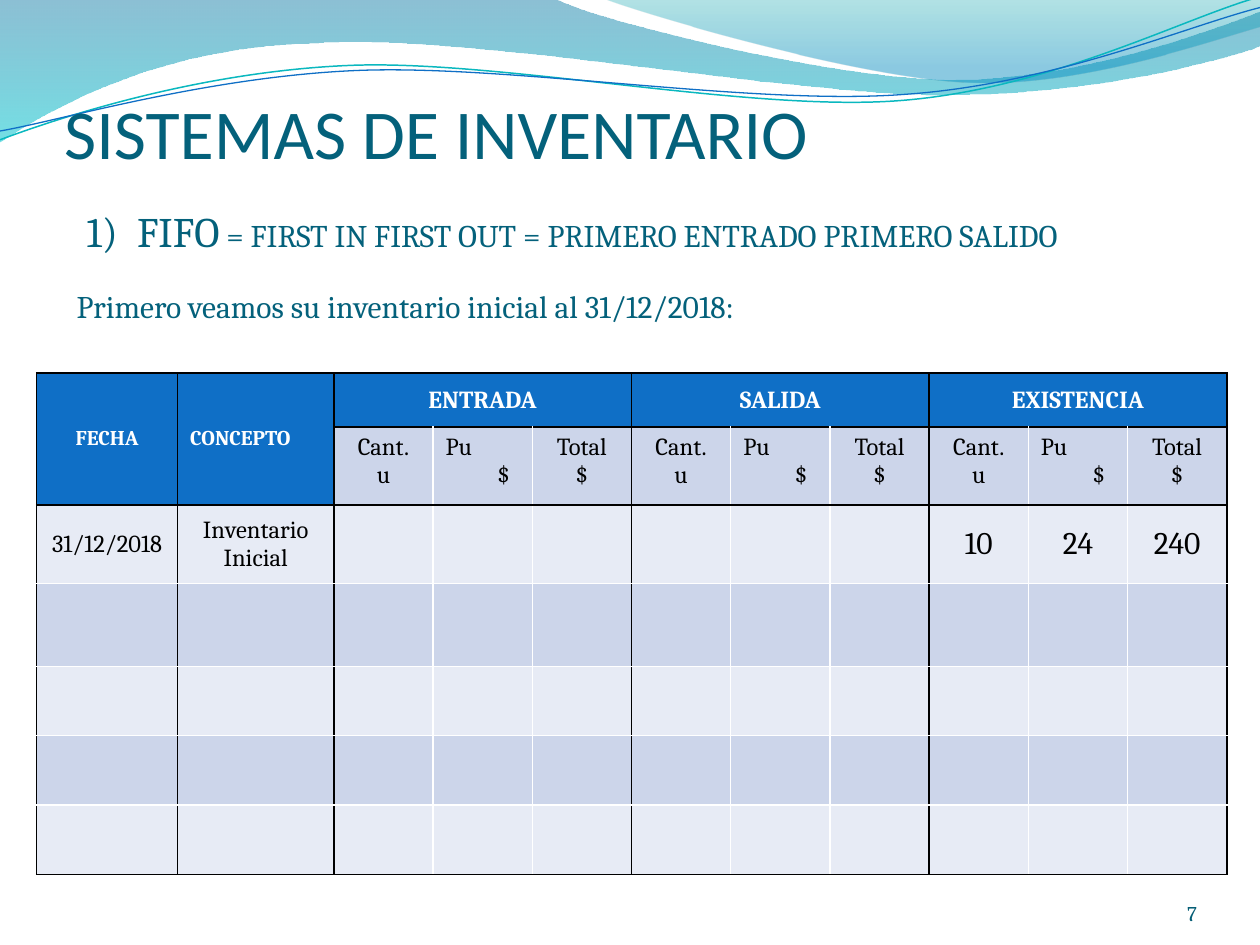
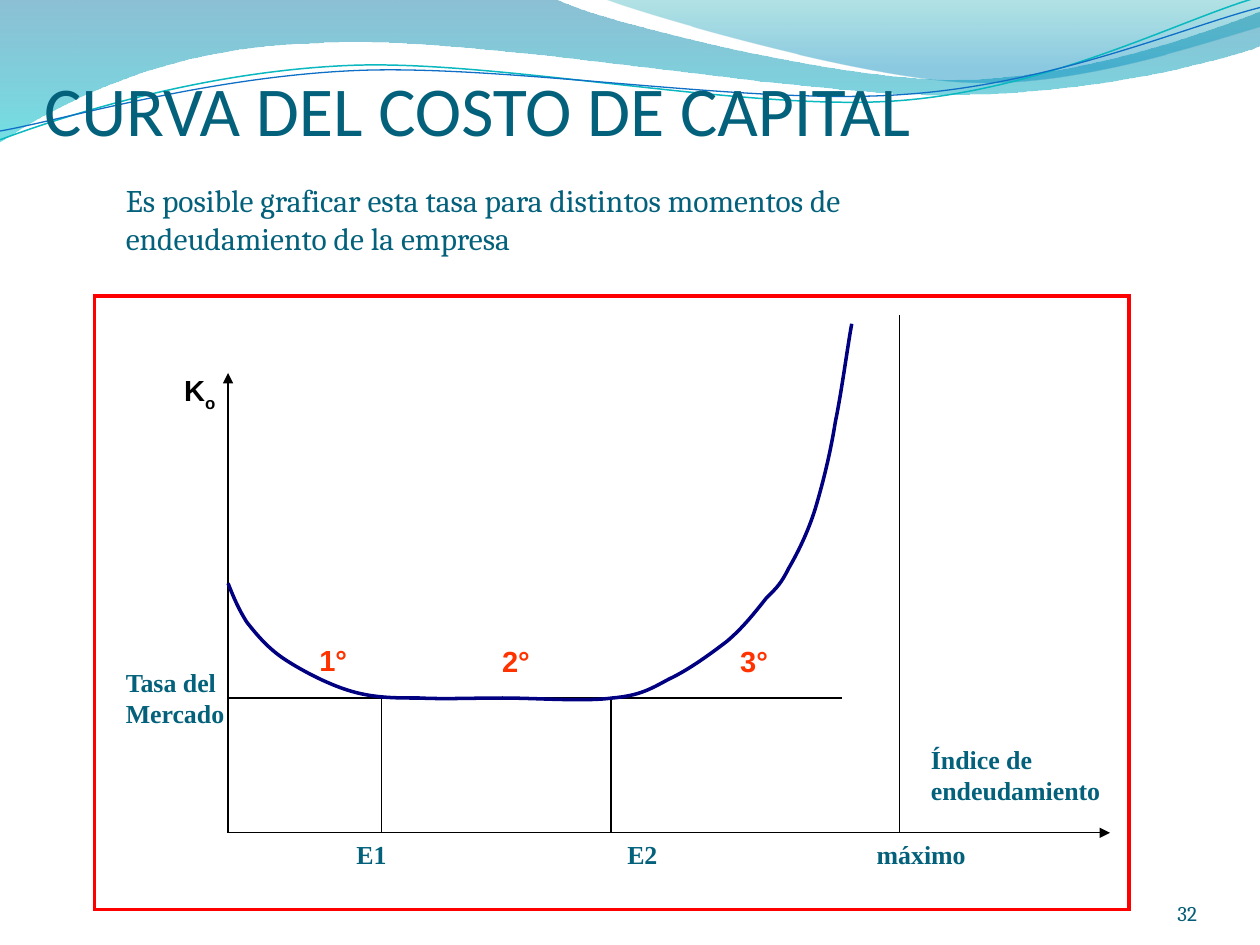
from lxml.etree import SubElement
from pptx import Presentation
from pptx.dml.color import RGBColor
from pptx.enum.shapes import MSO_CONNECTOR, MSO_SHAPE
from pptx.enum.text import MSO_ANCHOR as Anchor, MSO_AUTO_SIZE, PP_ALIGN as Align
from pptx.oxml import parse_xml
from pptx.oxml.ns import nsdecls, qn
from pptx.util import Inches, Pt

TITLE_FONT, BODY_FONT, AXIS_FONT, MARK_FONT = "Calibri", "Cambria", "Times New Roman", "Arial"
DARK_TEAL, NUMBER_TEAL, BLUE = "04617B", "045D75", "0F6FC6"
BLACK, WHITE, RED, NAVY, ORANGE = "000000", "FFFFFF", "FF0000", "000080", "FF3300"
BANDS = ("E7EBF5", "CCD5EA")
DEFAULT_INSETS = (0.1, 0.05, 0.1, 0.05)

# Each outline is a start point and its edges: 2 numbers for a line, 6 for a cubic curve.
WAVE_FILLS = [
    ((0, 0), [(4.4, -0.01), (4.76, 0.17, 6.64, 0.63, 7.58, 0.63),
              (8.53, 0.63, 9.58, 0.26, 10, 0.09), (10.01, 0.36),
              (9.83, 0.44, 8.7, 0.76, 7.46, 0.75), (6.22, 0.75, 3.82, 0.28, 2.57, 0.34),
              (1.29, 0.36, 0.46, 0.83, -0.01, 1.13), (0, 0)],
     [(0, "0074A1", 45), (1, "00C6CF", 55)]),
    ((4.79, -0.01), [(5.09, 0.11, 6.82, 0.62, 7.69, 0.65),
                     (8.56, 0.69, 9.61, 0.32, 10, 0.21), (10, 0), (4.79, -0.01)],
     [(0, "00A1A9", 30), (0.8, "008BBF", 45)]),
]
WAVE_LINES = [
    ((0, 1.11), [(0.48, 0.93, 1.58, 0.57, 2.77, 0.52), (3.95, 0.47, 5.93, 0.89, 7.13, 0.8),
                 (8.33, 0.71, 9.38, 0.15, 9.98, -0.02)], "0AB8BF", 0.85),
    ((0, 1.04), [(0.47, 0.96, 1.64, 0.61, 2.83, 0.56), (4.03, 0.51, 5.97, 0.84, 7.17, 0.75),
                 (8.36, 0.67, 9.41, 0.21, 10, 0.06)], BLUE, 0.75),
]
COST_CURVE = ((1.06, 2.28), [
    (1.1, 2.38, 1.14, 2.48, 1.21, 2.59), (1.29, 2.69, 1.38, 2.8, 1.52, 2.89),
    (1.66, 2.98, 1.87, 3.09, 2.05, 3.14), (2.23, 3.19, 2.39, 3.19, 2.58, 3.19),
    (2.78, 3.2, 2.99, 3.19, 3.24, 3.19), (3.5, 3.19, 3.89, 3.22, 4.11, 3.19),
    (4.33, 3.17, 4.41, 3.12, 4.56, 3.04), (4.71, 2.97, 4.89, 2.84, 5.02, 2.74),
    (5.15, 2.63, 5.25, 2.5, 5.33, 2.4), (5.42, 2.31, 5.45, 2.28, 5.51, 2.16),
    (5.58, 2.04, 5.66, 1.88, 5.72, 1.69), (5.78, 1.49, 5.84, 1.25, 5.88, 1),
    (5.93, 0.76, 5.98, 0.38, 6.01, 0.22)])


def rgb(color):
    return RGBColor.from_string(color)


def style_paragraph(paragraph, font, size, color, bold=False, align=Align.LEFT):
    paragraph.alignment = align
    paragraph.font.name = font
    paragraph.font.size = Pt(size)
    paragraph.font.bold = bold
    paragraph.font.color.rgb = rgb(color)


def write_lines(text_frame, lines, *style, **options):
    text_frame.text = "\n".join(lines)
    for paragraph in text_frame.paragraphs:
        style_paragraph(paragraph, *style, **options)


def set_up_frame(text_frame, insets=DEFAULT_INSETS, anchor=Anchor.TOP):
    text_frame.word_wrap = True
    text_frame.auto_size = MSO_AUTO_SIZE.NONE
    text_frame.vertical_anchor = anchor
    (text_frame.margin_left, text_frame.margin_top,
     text_frame.margin_right, text_frame.margin_bottom) = map(Inches, insets)


def add_text(slide, box, lines, *style, insets=DEFAULT_INSETS, anchor=Anchor.TOP, **options):
    text_frame = slide.shapes.add_textbox(*map(Inches, box)).text_frame
    set_up_frame(text_frame, insets, anchor)
    write_lines(text_frame, lines, *style, **options)
    return text_frame


def add_outline(slide, start, edges, left=0, top=0, close=False):
    """Add a freeform through the edges' end points, then bend the curved edges."""
    points = [start] + [edge[-2:] for edge in edges]
    builder = slide.shapes.build_freeform(*map(Inches, start))
    builder.add_line_segments([tuple(map(Inches, point)) for point in points[1:]], close=close)
    shape = builder.convert_to_shape(Inches(left), Inches(top))
    shape.shadow.inherit = False
    min_x, min_y = map(min, zip(*points))
    for segment, edge in zip(list(shape.element.iter(qn("a:lnTo"))), edges):
        if len(edge) == 6:
            segment.tag = qn("a:cubicBezTo")
            for index in (0, 2):
                control = parse_xml(f'<a:pt {nsdecls("a")}/>')
                control.set("x", str(Inches(edge[index] - min_x)))
                control.set("y", str(Inches(edge[index + 1] - min_y)))
                segment.insert(index // 2, control)
    return shape


def add_curve(slide, start, edges, color, width, left=0, top=0):
    shape = add_outline(slide, start, edges, left, top)
    shape.fill.background()
    shape.line.color.rgb = rgb(color)
    shape.line.width = Pt(width)
    return shape


def add_wave_fill(slide, start, edges, stops):
    shape = add_outline(slide, start, edges, close=True)
    shape.line.fill.background()
    shape.fill.gradient()
    shape.fill.gradient_angle = 270
    for stop, (position, color, _) in zip(shape.fill.gradient_stops, stops):
        stop.position = position
        stop.color.rgb = rgb(color)
    for element, (_, _, opacity) in zip(shape.element.iter(qn("a:srgbClr")), stops):
        SubElement(element, qn("a:alpha"), val=str(opacity * 1000))
    return shape


def add_waves_to_layout(slide):
    """Draw the waves on the slide, then move them behind everything on its layout."""
    waves = [add_wave_fill(slide, *wave) for wave in WAVE_FILLS]
    waves += [add_curve(slide, *wave) for wave in WAVE_LINES]
    first_element = slide.slide_layout.shapes[0].element
    for wave in waves:
        first_element.addprevious(wave.element)


def add_titled_slide(presentation, title, box, number, insets=DEFAULT_INSETS):
    slide = presentation.slides.add_slide(presentation.slide_layouts[5])
    shape = slide.shapes.title
    shape.left, shape.top, shape.width, shape.height = map(Inches, box)
    set_up_frame(shape.text_frame, insets)
    write_lines(shape.text_frame, [title], TITLE_FONT, 40, DARK_TEAL)
    add_text(slide, (8.67, 6.95, 0.83, 0.4), [str(number)], BODY_FONT, 12, NUMBER_TEAL,
             insets=(0, 0, 0, 0), anchor=Anchor.BOTTOM, align=Align.RIGHT)
    return slide


def add_line(slide, start, end, arrow=False):
    connector = slide.shapes.add_connector(
        MSO_CONNECTOR.STRAIGHT, *map(Inches, (*start, *end)))
    connector.line.color.rgb = rgb(BLACK)
    connector.line.width = Pt(0.75)
    if arrow:
        SubElement(connector.line._get_or_add_ln(), qn("a:tailEnd"), type="triangle")
    SubElement(connector.element.spPr, qn("a:effectLst"))


def format_cell(cell, fill, borders):
    """Fill the cell and draw its left, right, top and bottom borders."""
    cell.fill.solid()
    cell.fill.fore_color.rgb = rgb(fill)
    properties = cell._tc.get_or_add_tcPr()
    for index, (side, color) in enumerate(zip("LRTB", borders)):
        properties.insert(index, parse_xml(
            f'<a:ln{side} {nsdecls("a")} w="12700"><a:solidFill><a:srgbClr val="{color}"/>'
            f'</a:solidFill></a:ln{side}>'))


def add_inventory_table(slide, left, top, width):
    row_heights = [0.43, 0.62, 0.62, 0.66, 0.55, 0.55, 0.55]
    label_widths = [1.12, 1.24]
    widths = label_widths + [(width - sum(label_widths)) / 9] * 9
    black_columns, black_rows = {0, 1, 2, 5, 8, 11}, {0, 1, 2, 7}
    table = slide.shapes.add_table(len(row_heights), len(widths), *map(
        Inches, (left, top, width, sum(row_heights)))).table
    table.first_row = table.horz_banding = False
    for column, column_width in zip(table.columns, widths):
        column.width = Inches(column_width)
    for r, height in enumerate(row_heights):
        table.rows[r].height = Inches(height)
        for c in range(len(widths)):
            header = r == 0 or (r == 1 and c < 2)
            sides = [BLACK if header or edge in black_columns else WHITE for edge in (c, c + 1)]
            sides += [BLACK if header or edge in black_rows else WHITE for edge in (r, r + 1)]
            format_cell(table.cell(r, c), BLUE if header else BANDS[r % 2], sides)

    def write(row, column, lines, size, color=BLACK, bold=False, align=Align.CENTER):
        cell = table.cell(row, column)
        cell.vertical_anchor = Anchor.TOP if row == 1 else Anchor.MIDDLE
        write_lines(cell.text_frame, lines, BODY_FONT, size, color, bold=bold, align=align)
        return cell

    for column, (label, align) in enumerate([("FECHA", Align.CENTER), ("CONCEPTO", Align.LEFT)]):
        write(0, column, [label], 12, WHITE, True, align).merge(table.cell(1, column))
    for first, label in zip((2, 5, 8), ("ENTRADA", "SALIDA", "EXISTENCIA")):
        write(0, first, [label], 14, WHITE, True).merge(table.cell(0, first + 2))
        write(1, first, ["Cant.", "u"], 14)
        unit_price = write(1, first + 1, ["Pu", "$"], 14, align=Align.LEFT)
        currency = unit_price.text_frame.paragraphs[1]
        currency._p.get_or_add_pPr().set("marL", str(Inches(0.41)))
        write(1, first + 2, ["Total", "$"], 14)
    for column, text in enumerate(["31/12/2018", "Inventario Inicial"]):
        write(2, column, [text], 14)
    for column, amount in enumerate(["10", "24", "240"], start=8):
        write(2, column, [amount], 18)


def add_fifo_heading(slide, box):
    text_frame = add_text(slide, box, [""], BODY_FONT, 18, DARK_TEAL)
    paragraph = text_frame.paragraphs[0]
    properties = paragraph._p.get_or_add_pPr()
    properties.set("marL", str(Inches(0.4)))
    properties.set("indent", str(-Inches(0.4)))
    numbering = [f'<a:buFont {nsdecls("a")} typeface="{BODY_FONT}"/>',
                 f'<a:buAutoNum {nsdecls("a")} type="arabicParenR"/>']
    for index, element in enumerate(numbering):
        properties.insert(index, parse_xml(element))
    name, meaning = paragraph.add_run(), paragraph.add_run()
    name.text = "FIFO"
    name.font.size = Pt(24)
    meaning.text = " = FIRST IN FIRST OUT = PRIMERO ENTRADO PRIMERO SALIDO"


def add_cost_diagram(slide, left, top, width, height):
    frame = slide.shapes.add_shape(MSO_SHAPE.RECTANGLE, *map(Inches, (left, top, width, height)))
    frame.shadow.inherit = False
    frame.fill.background()
    frame.line.color.rgb = rgb(RED)
    frame.line.width = Pt(2)
    SubElement(frame.line._get_or_add_ln(), qn("a:miter"), lim="800000")

    axis_x, axis_y, market_y = 1.06, 4.26, 3.19
    lines = [
        ((axis_x, axis_y), (axis_x, 0.61), True),
        ((axis_x, axis_y), (8.06, axis_y), True),
        ((axis_x, market_y), (5.93, market_y), False),
        ((2.28, market_y), (2.28, axis_y), False),
        ((4.1, market_y), (4.1, axis_y), False),
        ((6.39, axis_y), (6.39, 0.15), False),
    ]
    for (x1, y1), (x2, y2), arrow in lines:
        add_line(slide, (left + x1, top + y1), (left + x2, top + y2), arrow)
    add_curve(slide, *COST_CURVE, NAVY, 2, left, top)

    axis_labels = [
        (6.54, 3.5, 1.67, ["Índice de endeudamiento"]),
        (0.15, 2.89, 1.06, ["Tasa del", "Mercado"]),
        (1.98, axis_y, 5.32, ["E1\tE2\tmáximo"]),
    ]
    for x, y, label_width, text in axis_labels:
        text_frame = add_text(slide, (left + x, top + y, label_width, 0.61), text,
                              AXIS_FONT, 14.8, DARK_TEAL, bold=True)
    tab_list = parse_xml(f'<a:tabLst {nsdecls("a")}/>')
    for position in (2.15, 4.13):
        SubElement(tab_list, qn("a:tab"), pos=str(Inches(position)), algn="l")
    text_frame.paragraphs[0]._p.get_or_add_pPr().insert(0, tab_list)

    marks = [(0.36, 0.56, "K", BLACK), (1.42, 2.7, "1°", ORANGE),
             (2.87, 2.71, "2°", ORANGE), (4.76, 2.71, "3°", ORANGE)]
    for x, y, text, color in marks:
        text_frame = add_text(slide, (left + x, top + y, 0.95, 0.38), [text],
                              MARK_FONT, 16.6, color, bold=True, align=Align.CENTER)
        if text == "K":
            subscript = text_frame.paragraphs[0].add_run()
            subscript.text = "o"
            subscript._r.get_or_add_rPr().set("baseline", "-25000")


def build_inventory_slide(presentation):
    slide = add_titled_slide(presentation, "SISTEMAS DE INVENTARIO", (0.51, 0.66, 9, 1.25), 7,
                             insets=(0, 0.05, 0, 0))
    add_waves_to_layout(slide)
    add_inventory_table(slide, 0.29, 2.96, 9.45)
    add_fifo_heading(slide, (0.59, 1.58, 8.74, 0.5))
    add_text(slide, (0.51, 2.23, 8.83, 0.4),
             ["Primero veamos su inventario inicial al 31/12/2018:"], BODY_FONT, 18, DARK_TEAL)


def build_cost_slide(presentation):
    slide = add_titled_slide(presentation, "CURVA DEL COSTO DE CAPITAL",
                             (0.25, 0.48, 7.59, 0.77), 32)
    add_cost_diagram(slide, 0.75, 2.35, 8.21, 4.87)
    add_text(slide, (0.9, 1.39, 6.39, 0.71),
             ["Es posible graficar esta tasa para distintos momentos de endeudamiento de la empresa"],
             BODY_FONT, 18, DARK_TEAL)


def main():
    presentation = Presentation()
    presentation.slide_width, presentation.slide_height = Inches(10), Inches(7.5)
    build_inventory_slide(presentation)
    build_cost_slide(presentation)
    presentation.save("out.pptx")


if __name__ == "__main__":
    main()
